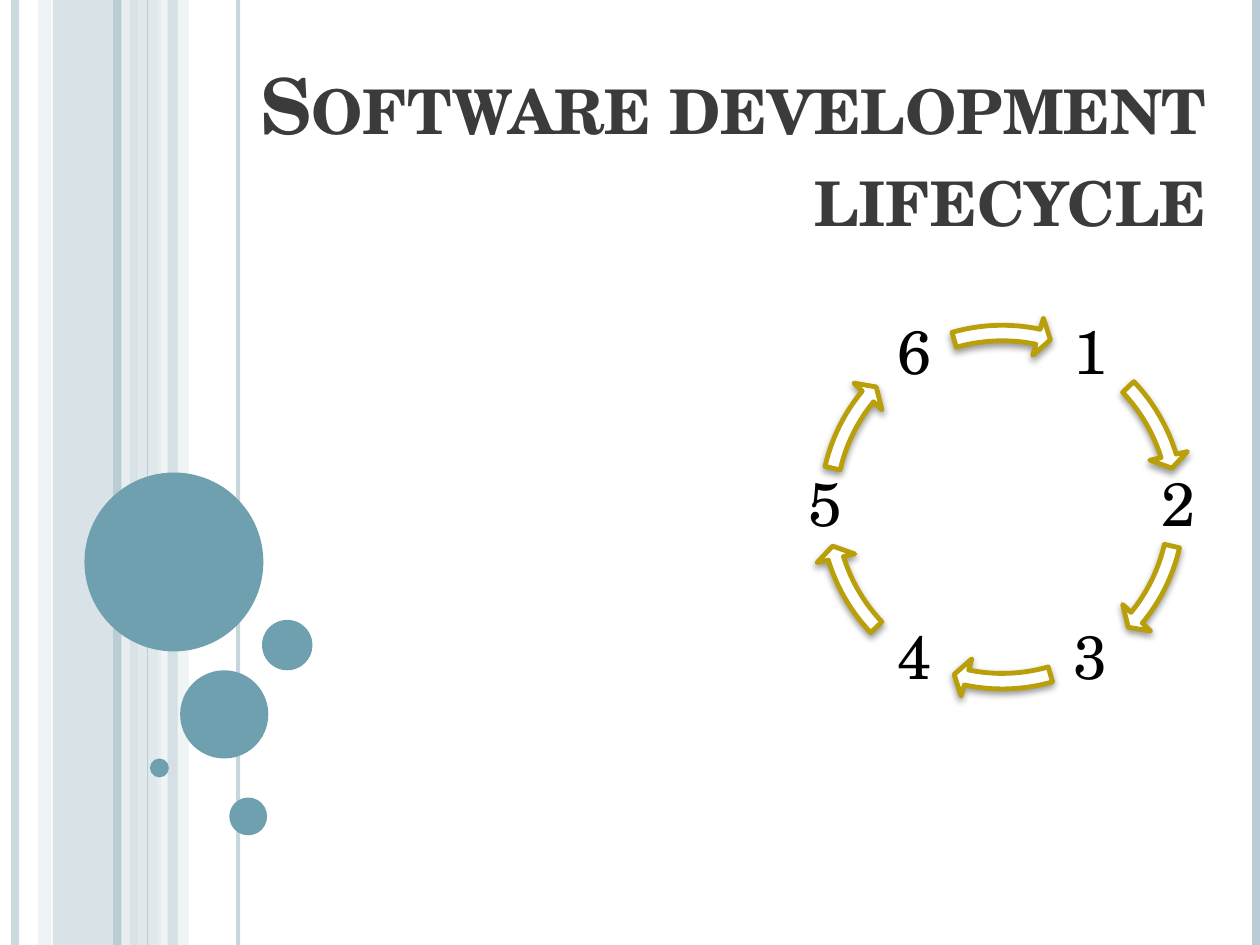
import math
from lxml import etree
from pptx import Presentation, util as u
from pptx.dml.color import RGBColor
from pptx.enum import shapes, text
from pptx.oxml import ns

deck = Presentation()
deck.slide_width, deck.slide_height = u.Inches(10), u.Inches(7.5)
page = deck.slides.add_slide(deck.slide_layouts[6])
cell = deck.slide_width // 100
rows = 75


def paint(shape, fill, color, alpha=100):
    fill.solid()
    fill.fore_color.rgb = RGBColor.from_string(color)
    if alpha < 100:
        tone = list(shape.element.spPr.iter(ns.qn("a:srgbClr")))[-1]
        etree.SubElement(tone, ns.qn("a:alpha"), val=str(alpha * 1000))


def write(words, left, top, width, height, size, color, align, anchor,
          inset=0.1, bold=False, small_caps=False, spacing=1):
    box = page.shapes.add_textbox(*(round(n * cell) for n in (left, top, width, height)))
    frame = box.text_frame
    frame.word_wrap = True
    frame.vertical_anchor = anchor
    frame.margin_left = frame.margin_right = u.Inches(inset)
    frame.margin_top = frame.margin_bottom = u.Inches(0.05)
    para = frame.paragraphs[0]
    para.alignment = align
    para.line_spacing = spacing
    span = para.add_run()
    span.text = words
    span.font.name = "TeX Gyre Schola"
    span.font.size = u.Pt(size)
    span.font.bold = bold
    paint(box, span.font.fill, color)
    if small_caps:
        span.font._element.set("cap", "small")


bands = [
    (4.2, 6.7, "BACDD4", 54),
    (3, 1.1, "D5DFE4", 36),
    (10.8, 2, "D5DFE4", 70),
    (12.5, 2.5, "EBF0F2", 71),
    (13.3, 0.8, "BACDD4", 51),
]
for left, width, color, alpha in bands:
    band = page.shapes.add_shape(shapes.MSO_SHAPE.RECTANGLE, round(left * cell), 0,
                                 round(width * cell), rows * cell)
    band.shadow.inherit = False
    paint(band, band.fill, color, alpha)
    band.line.fill.background()

stripes = [
    (1.2, 4.5, "BACDD4", 73),
    (10, 4.5, "EBF0F2", 83),
    (9.3, 4.5, "BACDD4", 100),
    (18.9, 2.25, "BACDD4", 82),
    (11.7, 0.75, "BACDD4", 100),
    (99.7, 4.5, "BACDD4", 100),
]
for column, weight, color, alpha in stripes:
    x = round(column * cell)
    stripe = page.shapes.add_connector(shapes.MSO_CONNECTOR.STRAIGHT, x, 0, x, rows * cell)
    paint(stripe, stripe.line.fill, color, alpha)
    stripe.line.width = u.Pt(weight)
    etree.SubElement(stripe.element.spPr, ns.qn("a:effectLst"))

bubbles = [(6.7, 37.5, 14.2), (14.3, 53.2, 7), (11.9, 60.2, 1.5), (18.2, 63.3, 3), (20.8, 49.2, 4)]
for left, top, size in bubbles:
    bubble = page.shapes.add_shape(shapes.MSO_SHAPE.OVAL,
                                   *(round(n * cell) for n in (left, top, size, size)))
    bubble.shadow.inherit = False
    paint(bubble, bubble.fill, "6EA0B0")
    bubble.line.fill.background()

write("Software development lifecycle", 7.8, -0.3, 88.9, 20, 44, "3B3B3B",
      text.PP_ALIGN.RIGHT, text.MSO_ANCHOR.BOTTOM, bold=True, small_caps=True)

center_x, center_y, radius = 79.55, 40.25, 14
label, ring = 6.3, 30.7
half_turn = 108
sweeps = [(97.74, 81.82), (23.68, 7.76), (61.12, 44.38)]
for step in range(6):
    angle = math.radians(60 * (step - 1))
    write(str(step + 1),
          center_x + radius * math.cos(angle) - label / 2,
          center_y + radius * math.sin(angle) - label / 2,
          label, label, 35, "000000", text.PP_ALIGN.CENTER, text.MSO_ANCHOR.MIDDLE,
          inset=0.05, spacing=0.9)

    arrow = page.shapes.add_shape(
        shapes.MSO_SHAPE.CIRCULAR_ARROW,
        *(round(n * cell) for n in (center_x - ring / 2, center_y - ring / 2, ring, ring)))
    head, tail = sweeps[step % 3]
    turn = half_turn if step in (0, 4, 5) else 0
    for index, value in enumerate((0.04, 2.5, head + turn, tail + turn, 0.05)):
        arrow.adjustments[index] = value
    paint(arrow, arrow.fill, "FFFFFF")
    paint(arrow, arrow.line.fill, "B99F09")
    arrow.line.width = u.Pt(2.75)
    arrow.shadow.inherit = False
    effects = arrow.element.spPr.find(ns.qn("a:effectLst"))
    shadow = etree.SubElement(effects, ns.qn("a:outerShdw"), blurRad=str(u.Pt(4)),
                              dist=str(u.Pt(2)), dir="5400000", rotWithShape="0")
    shade = etree.SubElement(shadow, ns.qn("a:srgbClr"), val="000000")
    etree.SubElement(shade, ns.qn("a:alpha"), val="40000")

deck.save("out.pptx")
